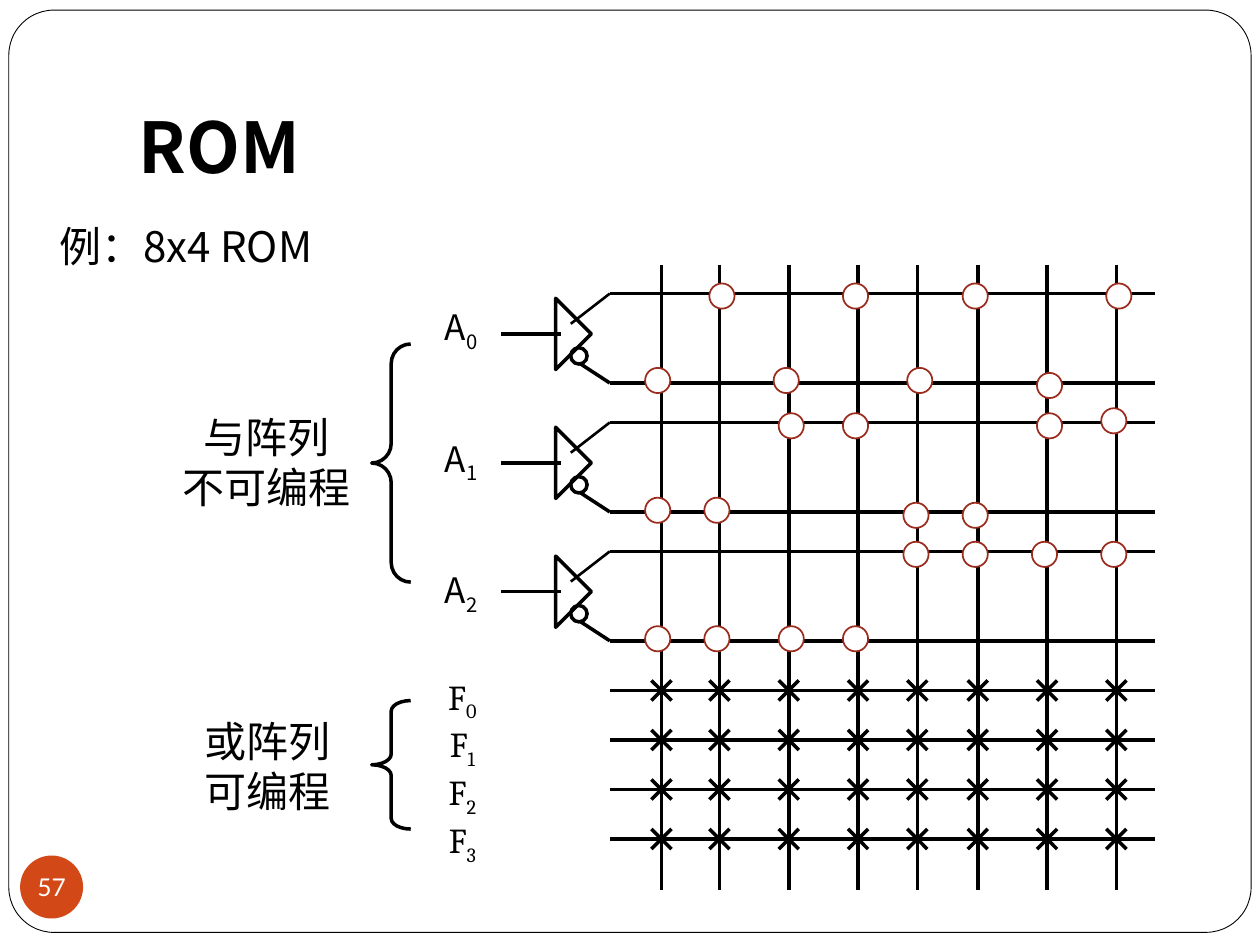
from dataclasses import dataclass

import pptx
import pptx.dml.color
import pptx.enum.shapes
import pptx.enum.text
import pptx.oxml.ns
import pptx.util
from lxml import etree
from pptx.util import Inches

SHAPE = pptx.enum.shapes.MSO_SHAPE
ANCHOR = pptx.enum.text.MSO_ANCHOR
ALIGN = pptx.enum.text.PP_ALIGN


@dataclass(frozen=True)
class Theme:
    ink: str = "000000"
    paper: str = "FFFFFF"
    badge: str = "D34817"
    dot: str = "9B2D1F"
    sans: str = "Noto Sans CJK JP"
    serif: str = "Cambria"
    number_font: str = "Lato"
    title_size: int = 40
    body_size: int = 24
    label_size: int = 20
    number_size: int = 14
    stroke: float = 2


THEME = Theme()

# Grid of the logic array
COLUMNS = [5.25, 5.71, 6.26, 6.81, 7.28, 7.76, 8.31, 8.86]
ROW_LEFT, ROW_RIGHT = 4.84, 9.17
BUFFER_ROWS = [2.65 + 1.023 * index for index in range(3)]
TRUE_OFFSET, INVERTED_OFFSET = -0.32, 0.39
OUTPUT_ROWS = [5.48 + 0.393 * index for index in range(4)]

# Fixed connections: top edge of the dots -> left edges
DOTS = {
    2.25: [5.63, 6.69, 7.64, 8.78],
    2.92: [5.12, 6.14, 7.2],
    2.96: [8.23],
    3.24: [8.74],
    3.28: [6.18, 6.69, 8.23],
    3.95: [5.12, 5.59],
    3.99: [7.17, 7.64],
    4.3: [7.17, 7.64, 8.19, 8.74],
    4.97: [5.12, 5.59, 6.18, 6.69],
}


def rgb(value):
    return pptx.dml.color.RGBColor.from_string(value)


def format_run(run, size, font, color=THEME.ink, bold=False):
    run.font.size = pptx.util.Pt(size)
    run.font.name = font
    run.font.color.rgb = rgb(color)
    run.font.bold = bold
    east_asian = etree.SubElement(run.font._element, pptx.oxml.ns.qn("a:ea"))
    east_asian.set("typeface", THEME.sans)


def set_margins(frame, left, top, right, bottom):
    frame.margin_left, frame.margin_top = Inches(left), Inches(top)
    frame.margin_right, frame.margin_bottom = Inches(right), Inches(bottom)


def add_line(shapes, x1, y1, x2, y2, width=THEME.stroke):
    line = shapes.add_connector(pptx.enum.shapes.MSO_CONNECTOR.STRAIGHT,
                                Inches(x1), Inches(y1), Inches(x2), Inches(y2))
    line.line.color.rgb = rgb(THEME.ink)
    line.line.width = pptx.util.Pt(width)
    etree.SubElement(line._element.spPr, pptx.oxml.ns.qn("a:effectLst"))


def add_outline(shapes, kind, left, top, width, height, fill=None,
                color=THEME.ink, stroke=THEME.stroke):
    shape = shapes.add_shape(kind, Inches(left), Inches(top), Inches(width), Inches(height))
    shape.shadow.inherit = False
    if fill:
        shape.fill.solid()
        shape.fill.fore_color.rgb = rgb(fill)
    else:
        shape.fill.background()
    shape.line.color.rgb = rgb(color)
    shape.line.width = pptx.util.Pt(stroke)
    return shape


def add_text(shapes, left, top, width, height, lines, size, font=THEME.sans,
             pitch=None, gap=0, subscript=False):
    """Centred lines; with subscript, the last letter of each line is lowered."""
    box = shapes.add_textbox(Inches(left), Inches(top), Inches(width), Inches(height))
    frame = box.text_frame
    frame.word_wrap = False
    for index, line in enumerate(lines):
        paragraph = frame.paragraphs[0] if index == 0 else frame.add_paragraph()
        paragraph.alignment = ALIGN.CENTER
        if pitch:
            paragraph.line_spacing = pptx.util.Pt(pitch)
        if index and gap:
            paragraph.space_before = pptx.util.Pt(gap)
        for part in ([line[:-1], line[-1]] if subscript else [line]):
            run = paragraph.add_run()
            run.text = part
            format_run(run, size, font)
        if subscript:
            run.font._element.set("baseline", "-25000")


def add_brace(shapes, top, height, curve):
    brace = add_outline(shapes, SHAPE.LEFT_BRACE, 2.95, top, 0.31, height)
    brace.adjustments[0] = curve


def add_buffer(shapes, y):
    """Input buffer with a true and an inverted output."""
    triangle = add_outline(shapes, SHAPE.RIGHT_TRIANGLE, 4.21, y - 0.2, 0.4, 0.4)
    triangle.rotation = 225
    add_outline(shapes, SHAPE.OVAL, 4.53, y + 0.11, 0.13, 0.13)
    add_line(shapes, 4.61, y + 0.24, ROW_LEFT, y + INVERTED_OFFSET)
    add_line(shapes, 4.53, y - 0.08, ROW_LEFT, y + TRUE_OFFSET, 1.5)
    add_line(shapes, 3.98, y, 4.45, y)


def add_cross(shapes, x, y, half=0.08):
    add_line(shapes, x + half, y - half, x - half, y + half)
    add_line(shapes, x + half, y + half, x - half, y - half)


def add_frame_and_titles(slide):
    # Rounded page frame, placed behind the title
    frame = add_outline(slide.shapes, SHAPE.ROUNDED_RECTANGLE, 0.07, 0.08, 9.86, 7.32,
                        THEME.paper, stroke=0.5)
    frame.adjustments[0] = 0.049
    slide.shapes._spTree.insert(2, frame._element)

    # Title and example
    title = slide.shapes.title
    title.left, title.top = Inches(1), Inches(0.3)
    title.width, title.height = Inches(8.5), Inches(1.25)
    title.text_frame.text = "ROM"
    title.text_frame.vertical_anchor = ANCHOR.BOTTOM
    set_margins(title.text_frame, 0.1, 0.05, 0.1, 0.06)
    paragraph = title.text_frame.paragraphs[0]
    paragraph.alignment = ALIGN.LEFT
    format_run(paragraph.runs[0], THEME.title_size, THEME.sans, bold=True)
    add_text(slide.shapes, 0.31, 1.7, 2.33, 0.5, ["例：8x4 ROM"], THEME.body_size, pitch=28.6)

    # Slide number
    badge = add_outline(slide.shapes, SHAPE.OVAL, 0.16, 6.79, 0.5, 0.5, THEME.badge)
    badge.line.fill.background()
    badge.text_frame.text = "57"
    badge.text_frame.word_wrap = False
    badge.text_frame.vertical_anchor = ANCHOR.MIDDLE
    set_margins(badge.text_frame, 0, 0, 0, 0)
    paragraph = badge.text_frame.paragraphs[0]
    paragraph.alignment = ALIGN.CENTER
    format_run(paragraph.runs[0], THEME.number_size, THEME.number_font, THEME.paper)


def add_and_array(shapes):
    for x in COLUMNS:
        add_line(shapes, x, 2.1, x, 7.06)
    for y in BUFFER_ROWS:
        add_buffer(shapes, y)
        for offset in (TRUE_OFFSET, INVERTED_OFFSET):
            add_line(shapes, ROW_LEFT, y + offset, ROW_RIGHT, y + offset)
    for top, lefts in DOTS.items():
        for left in lefts:
            add_outline(shapes, SHAPE.OVAL, left, top, 0.2, 0.2, THEME.paper, THEME.dot, 1)
    add_text(shapes, 3.41, 2.41, 0.5, 2.43, ["A0", "A1", "A2"], THEME.label_size,
             pitch=25, gap=50, subscript=True)
    add_brace(shapes, 2.73, 1.89, 0.501)
    add_text(shapes, 1.34, 3.22, 1.55, 0.91, ["与阵列", "不可编程"], THEME.body_size, pitch=28.6)


def add_or_array(shapes):
    for y in OUTPUT_ROWS:
        add_line(shapes, ROW_LEFT, y, ROW_RIGHT, y)
        for x in COLUMNS:
            add_cross(shapes, x, y)
    add_text(shapes, 3.43, 5.31, 0.48, 1.43, ["F0", "F1", "F2", "F3"], THEME.label_size,
             THEME.serif, subscript=True)
    add_brace(shapes, 5.56, 1.02, 0.272)
    add_text(shapes, 1.52, 5.63, 1.2, 0.9, ["或阵列", "可编程"], THEME.body_size,
             THEME.serif, pitch=28.6)


def main():
    presentation = pptx.Presentation()
    presentation.slide_width, presentation.slide_height = Inches(10), Inches(7.5)
    slide = presentation.slides.add_slide(presentation.slide_layouts[5])
    add_frame_and_titles(slide)
    add_and_array(slide.shapes.add_group_shape().shapes)
    add_or_array(slide.shapes.add_group_shape().shapes)
    presentation.save("out.pptx")


if __name__ == "__main__":
    main()
